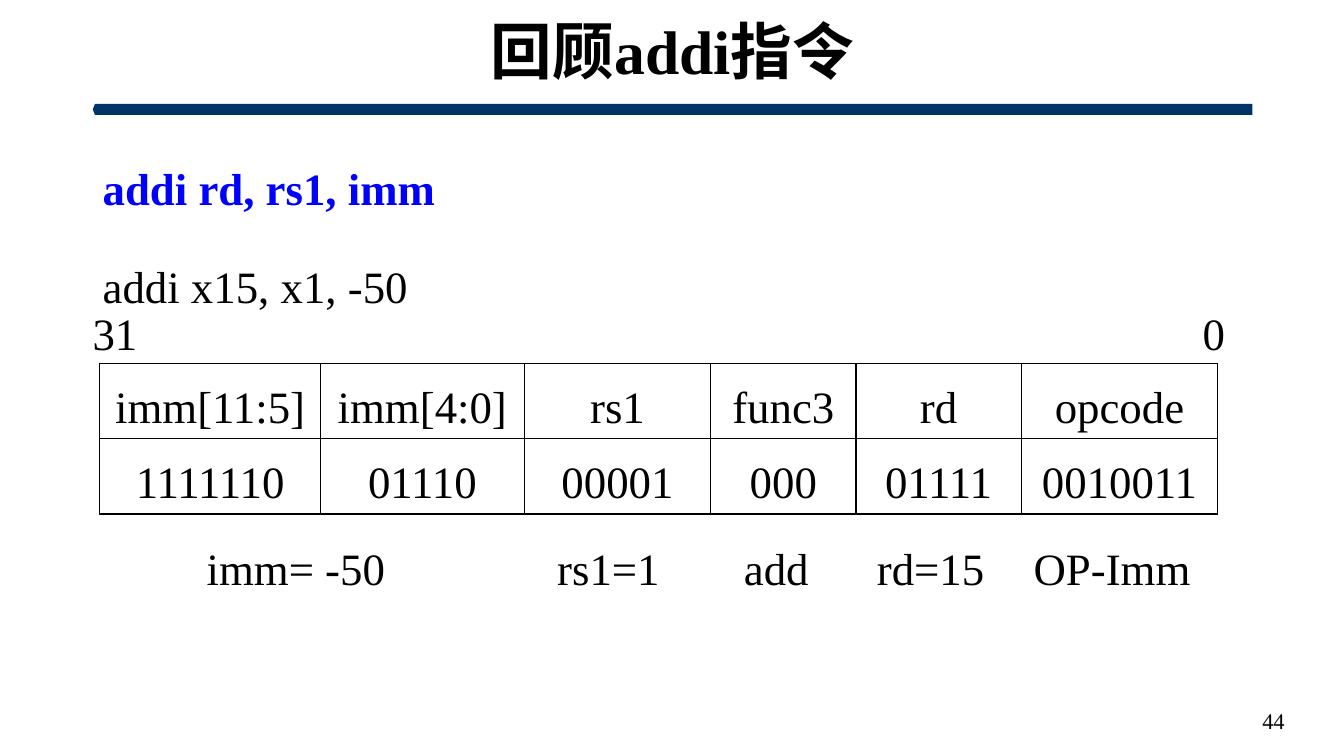
from pptx import Presentation
from pptx.dml.color import RGBColor
from pptx.enum.shapes import MSO_SHAPE as Shape
from pptx.enum.text import MSO_ANCHOR as Anchor, PP_ALIGN as Align
from pptx.oxml import parse_xml
from pptx.oxml.ns import nsdecls
from pptx.util import Inches, Pt

FIELD_WIDTHS = [2.19, 2.02, 1.85, 1.44, 1.64, 1.95]
FIELD_ROWS = [
    (3.61, ["imm[11:5]", "imm[4:0]", "rs1", "func3", "rd", "opcode"]),
    (4.35, ["1111110", "01110", "00001", "000", "01111", "0010011"]),
]
MEANINGS = [
    ("imm= -50", 1.01, 3.85),
    ("rs1=1", 5.22, 1.63),
    ("add", 6.88, 1.64),
    ("rd=15", 8.41, 1.64),
    ("OP-Imm", 9.87, 2.32),
]


def color(hex_string):
    return RGBColor.from_string(hex_string)


def set_all(target, values):
    for name, value in values.items():
        setattr(target, name, value)


class SlideBuilder:
    font_name = "Times New Roman"
    ink = "000000"
    paper = "FFFFFF"
    size = 32

    def __init__(self, page):
        self.page = page

    def fill_para(self, para, text, size=None, ink=None, bold=False, **layout):
        set_all(para, layout)
        span = para.add_run()
        span.text = text
        set_all(span.font, {"name": self.font_name, "size": Pt(size or self.size), "bold": bold})
        span.font.color.rgb = color(ink or self.ink)

    def text(self, bounds, lines, anchor=Anchor.TOP, top_inset=0.05):
        """Add a text box; each line is a dict of arguments for fill_para."""
        box = self.page.shapes.add_textbox(*map(Inches, bounds))
        frame = box.text_frame
        set_all(frame, {
            "word_wrap": True,
            "vertical_anchor": anchor,
            "margin_top": Inches(top_inset),
        })
        for index, line in enumerate(lines):
            para = frame.add_paragraph() if index else frame.paragraphs[0]
            self.fill_para(para, **line)

    def rule(self, bounds, fill):
        """Add the bar under the title, with its point to the left."""
        bar = self.page.shapes.add_shape(Shape.PENTAGON, *map(Inches, bounds))
        bar.adjustments[0] = 0.2
        bar.rotation = 180
        bar.shadow.inherit = False
        bar.fill.solid()
        bar.fill.fore_color.rgb = color(fill)
        bar.line.fill.background()

    def outline(self, cell):
        properties = cell._tc.get_or_add_tcPr()
        for index, side in enumerate(("lnL", "lnR", "lnT", "lnB")):
            properties.insert(index, parse_xml(
                f'<a:{side} {nsdecls("a")} w="{Pt(1)}"><a:solidFill>'
                f'<a:srgbClr val="{self.ink}"/></a:solidFill></a:{side}>'))

    def field_row(self, left, top, height, widths, values):
        bounds = map(Inches, (left, top, sum(widths), height))
        table = self.page.shapes.add_table(1, len(widths), *bounds).table
        set_all(table, {"first_row": False, "horz_banding": False})
        for column, width, cell, value in zip(table.columns, widths, table.rows[0].cells, values):
            column.width = Inches(width)
            set_all(cell, {f"margin_{side}": 0 for side in ("left", "right", "top", "bottom")})
            cell.fill.solid()
            cell.fill.fore_color.rgb = color(self.paper)
            self.outline(cell)
            self.fill_para(cell.text_frame.paragraphs[0], value,
                           alignment=Align.CENTER, line_spacing=1.4)


def main():
    deck = Presentation()
    set_all(deck, {"slide_width": Inches(13.33), "slide_height": Inches(7.5)})
    builder = SlideBuilder(deck.slides.add_slide(deck.slide_layouts[6]))

    builder.rule((0.92, 1.03, 11.5, 0.11), "003366")
    builder.text((0.92, 0.13, 11.5, 0.82), [
        dict(text="回顾addi指令", size=44, bold=True, alignment=Align.CENTER, line_spacing=0.9),
    ], Anchor.MIDDLE)
    builder.text((0.92, 1.21, 11.5, 5.55), [
        dict(text="addi rd, rs1, imm", ink="0000FF", bold=True, line_spacing=1.5),
        dict(text="addi x15, x1, -50", line_spacing=1.5, space_before=Pt(12)),
    ], top_inset=0.12)
    builder.text((9.84, 6.95, 3, 0.4), [
        dict(text="44", size=16, alignment=Align.RIGHT),
    ], Anchor.MIDDLE)

    for meaning, left, width in MEANINGS:
        builder.text((left, 5.34, width, 0.59), [
            dict(text=meaning, alignment=Align.CENTER),
        ], Anchor.MIDDLE)
    for top, values in FIELD_ROWS:
        builder.field_row(0.99, top, 0.75, FIELD_WIDTHS, values)
    builder.text((0.78, 2.98, 0.72, 0.55), [dict(text="31", alignment=Align.CENTER)])
    builder.text((11.83, 2.98, 0.48, 0.56), [dict(text="0")])

    deck.save("out.pptx")


if __name__ == "__main__":
    main()
